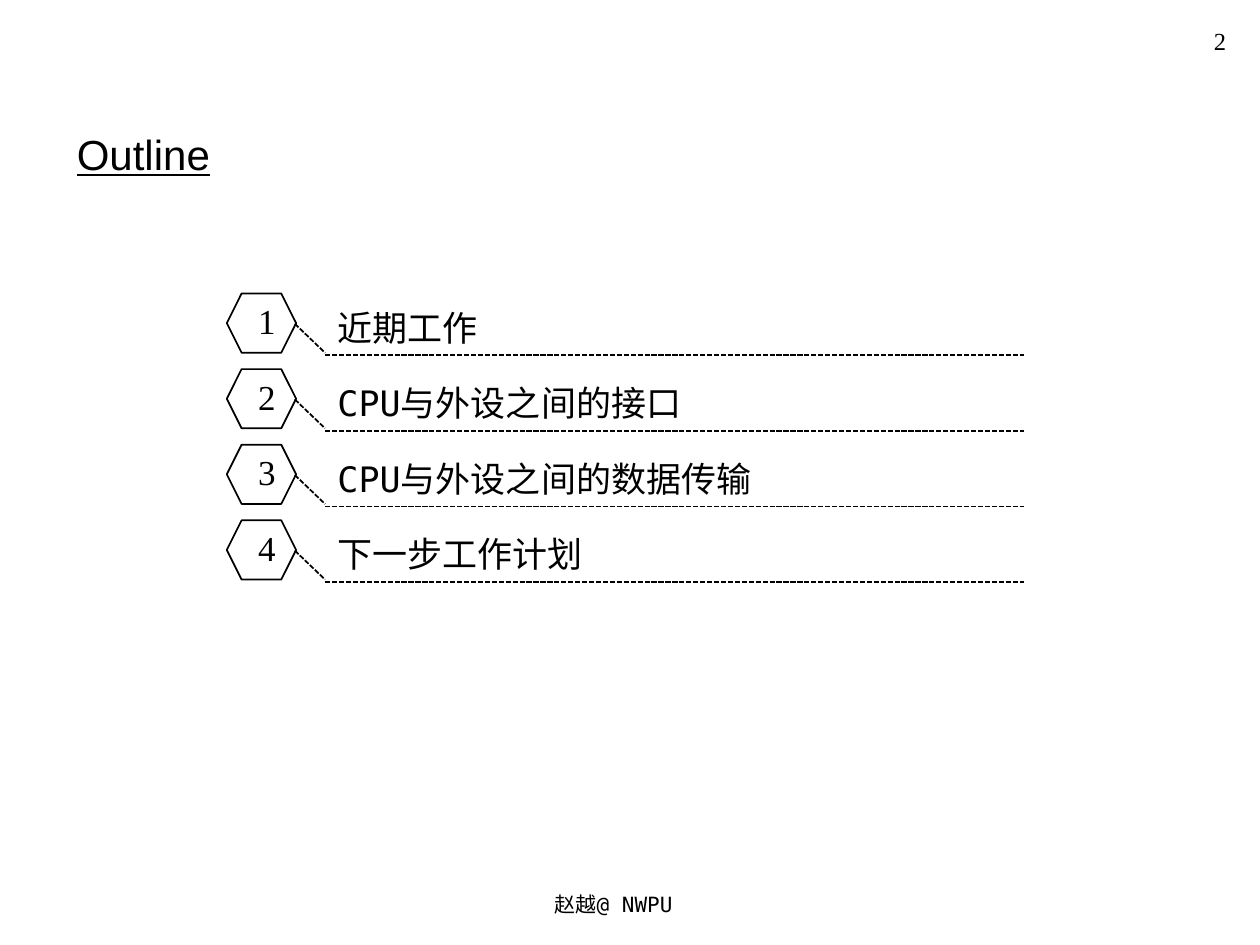
import pptx
import pptx.util
import pptx.dml.color
import pptx.enum.dml
import pptx.enum.shapes
import pptx.enum.text
import pptx.oxml
import pptx.oxml.ns

Inches = pptx.util.Inches
Align = pptx.enum.text.PP_ALIGN
Anchor = pptx.enum.text.MSO_ANCHOR
Kind = pptx.enum.shapes.MSO_SHAPE
BLACK = "000000"
MONO, SERIF, SANS, HAN = ("DejaVu Sans Mono", "Times New Roman", "Arial",
                          "Noto Sans CJK SC")
ITEMS = ["近期工作", "CPU与外设之间的接口", "CPU与外设之间的数据传输", "下一步工作计划"]
PITCH = 0.6


def color(code):
    return pptx.dml.color.RGBColor.from_string(code)


def write(shape, text, size, name, align=Align.LEFT, anchor=Anchor.TOP, **extra):
    frame = shape.text_frame
    setup = dict(word_wrap=True, vertical_anchor=anchor,
                 auto_size=pptx.enum.text.MSO_AUTO_SIZE.NONE,
                 margin_left=Inches(0.1), margin_right=Inches(0.1),
                 margin_top=Inches(0.05), margin_bottom=Inches(0.05))
    for key, value in setup.items():
        setattr(frame, key, value)
    para = frame.paragraphs[0]
    para.alignment = align
    run = para.add_run()
    run.text = text
    form = dict(size=pptx.util.Pt(size), name=name, **extra)
    for key, value in form.items():
        setattr(run.font, key, value)
    run.font.color.rgb = color(BLACK)
    # Chinese glyphs take their own font
    east = pptx.oxml.parse_xml(
        f'<a:ea {pptx.oxml.ns.nsdecls("a")} typeface="{HAN}"/>')
    run.font._element.find(pptx.oxml.ns.qn("a:latin")).addnext(east)


def label(slide, box, *args, **form):
    shape = slide.shapes.add_textbox(*map(Inches, box))
    write(shape, *args, **form)


def dash(slide, *ends):
    line = slide.shapes.add_connector(
        pptx.enum.shapes.MSO_CONNECTOR.STRAIGHT, *map(Inches, ends))
    line.line.color.rgb = color(BLACK)
    line.line.width = pptx.util.Pt(1)
    line.line.dash_style = pptx.enum.dml.MSO_LINE.SQUARE_DOT
    line._element.spPr.append(pptx.oxml.parse_xml(
        f'<a:effectLst {pptx.oxml.ns.nsdecls("a")}/>'))


def heading(slide, box):
    title = slide.shapes.title
    title.left, title.top, title.width, title.height = map(Inches, box)
    write(title, "Outline", 24, SANS, anchor=Anchor.BOTTOM, underline=True)


def entry(slide, box, number, text):
    left, top, width, height = box
    # Numbered hexagon
    hexa = slide.shapes.add_shape(
        Kind.HEXAGON, *map(Inches, (left, top, 0.55, 0.47)))
    hexa.adjustments[0] = 0.25
    hexa.shadow.inherit = False
    hexa.fill.background()
    hexa.line.color.rgb = color(BLACK)
    hexa.line.width = pptx.util.Pt(1)
    label(slide, (left + 0.15, top, 0.23, 0.44), str(number), 20, SERIF,
          align=Align.CENTER)
    # Topic above a dashed rule
    start, right, base = left + 0.78, left + width, top + height
    label(slide, (start, top + 0.05, right - start, 0.44), text, 20,
          MONO if text.startswith("CPU") else HAN)
    dash(slide, left + 0.54, top + 0.24, start, base - 0.02)
    dash(slide, start, base, right, base)


def outline(slide, box):
    left, top, width, height = box
    for row, text in enumerate(ITEMS):
        entry(slide, (left, top + row * PITCH, width, height), row + 1, text)


def main():
    deck = pptx.Presentation()
    deck.slide_width, deck.slide_height = Inches(10), Inches(7.5)
    slide = deck.slides.add_slide(deck.slide_layouts[5])
    # Footer and page number
    label(slide, (2.42, 7.03, 5, 0.3), "赵越@ NWPU ", 12, MONO,
          align=Align.CENTER)
    label(slide, (8.91, 0.16, 0.92, 0.44), "2", 14, SERIF, align=Align.RIGHT)
    heading(slide, (0.51, 0.84, 8.9, 0.63))
    outline(slide, (1.8, 2.33, 6.33, 0.49))
    deck.save("out.pptx")


if __name__ == "__main__":
    main()
